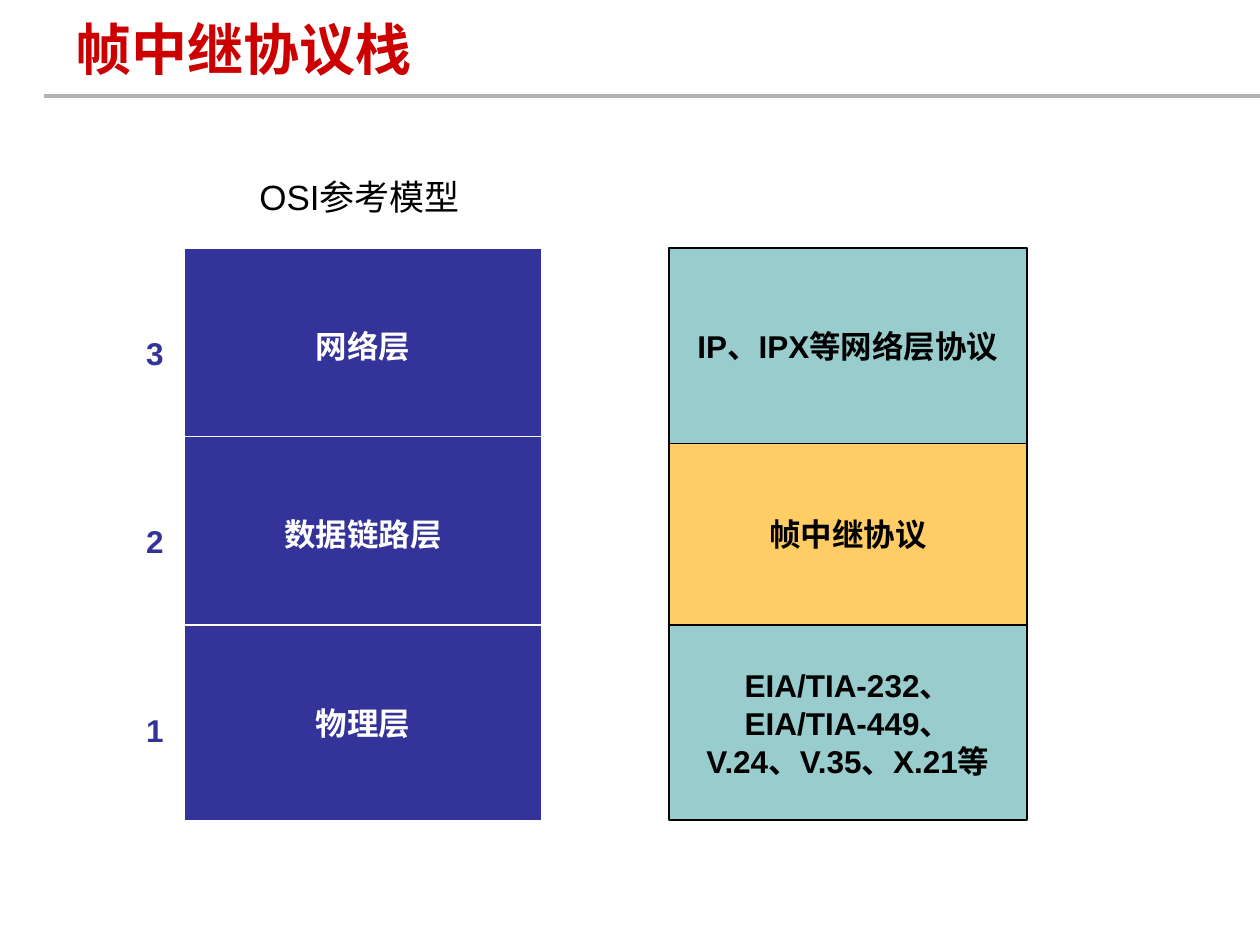
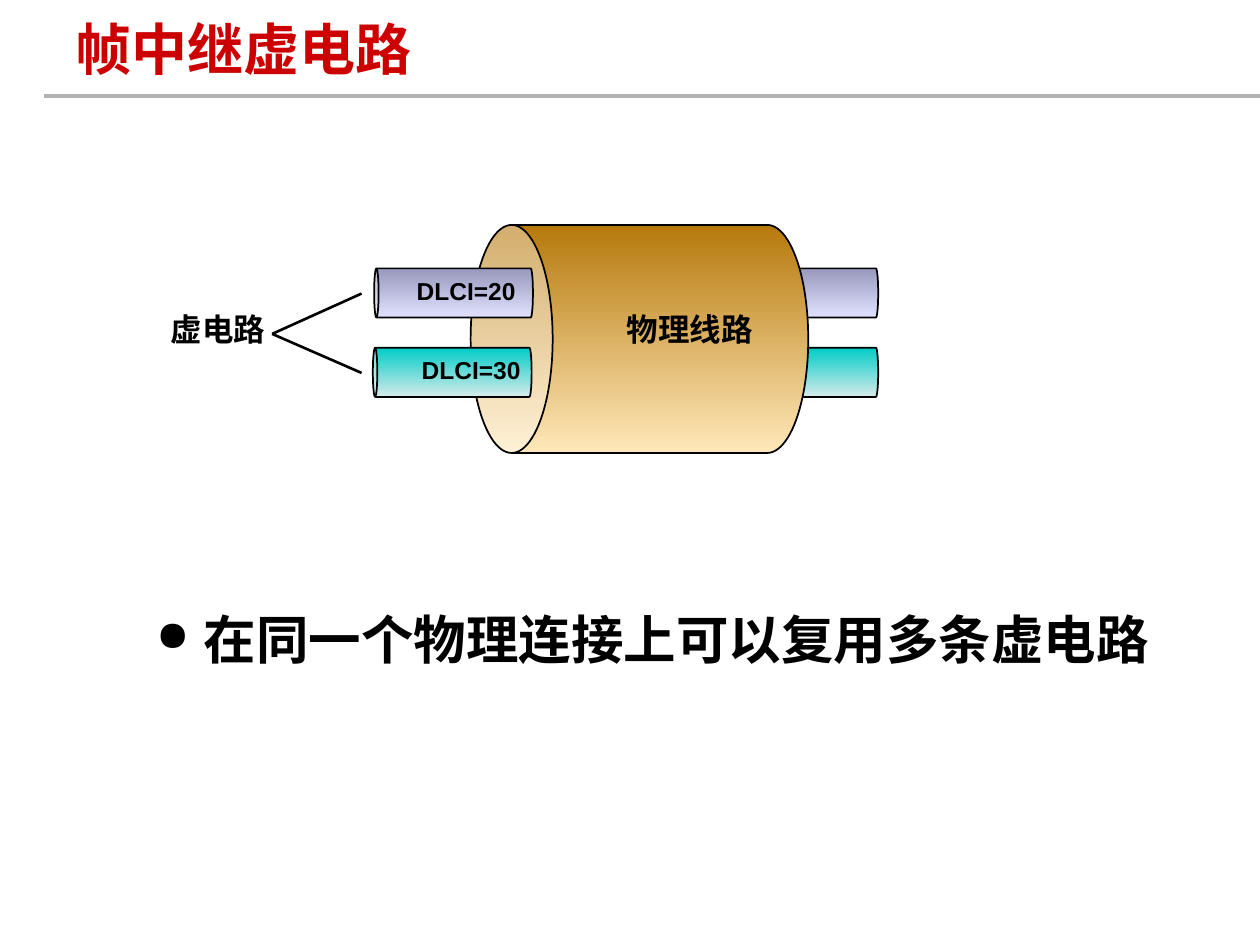
from dataclasses import dataclass
from lxml.etree import SubElement
from pptx import Presentation
from pptx.dml.color import RGBColor
from pptx.enum.shapes import MSO_CONNECTOR as Connector, MSO_SHAPE as Shape
from pptx.enum.text import MSO_ANCHOR as Anchor, PP_ALIGN as Align
from pptx.oxml.ns import qn
from pptx.util import Inches, Pt


@dataclass(frozen=True)
class Theme:
    latin: str = "Arial"
    asian: str = "Noto Sans CJK SC"
    red: str = "CC0000"
    rule: str = "B2B2B2"
    black: str = "000000"
    white: str = "FFFFFF"
    navy: str = "333399"
    teal: str = "99CCCC"
    amber: str = "FFCC66"
    violet_pipe: tuple = ("E1E1FF", "9898BC")
    green_pipe: tuple = ("D5EBEA", "00CCC7")
    line_pipe: tuple = ("FFE8B9", "B6790C")
    title_size: int = 32
    bullet_size: int = 30
    heading_size: int = 20
    label_size: int = 18
    small_size: int = 14


THEME = Theme()
COLUMNS, ROWS = 100, 75
CELL = Inches(0.1)


def grid(*cells):
    return [round(cell * CELL) for cell in cells]


def color(value):
    return RGBColor.from_string(value)


def write(box, lines, size, ink, bold=True, align=Align.CENTER,
          anchor=Anchor.TOP, wrap=True, bullet=False):
    frame = box.text_frame
    frame.word_wrap = wrap
    frame.vertical_anchor = anchor
    for index, line in enumerate(lines):
        para = frame.paragraphs[0] if index == 0 else frame.add_paragraph()
        para.text = line
        para.alignment = align
        if bullet:
            add_bullet(para)
        font = para.font
        font.name, font.size, font.bold = THEME.latin, Pt(size), bold
        font.color.rgb = color(ink)
        defaults = para._p.pPr.find(qn("a:defRPr"))
        SubElement(defaults, qn("a:ea"), typeface=THEME.asian)


def add_bullet(para):
    properties = para._p.get_or_add_pPr()
    indent = Inches(0.38)
    properties.set("marL", str(indent))
    properties.set("indent", str(-indent))
    tint = SubElement(properties, qn("a:buClr"))
    SubElement(tint, qn("a:srgbClr"), val=THEME.black)
    SubElement(properties, qn("a:buSzPct"), val="80000")
    SubElement(properties, qn("a:buChar"), char="●")


def add_label(page, cells, text, size=THEME.label_size, ink=THEME.black, **style):
    box = page.shapes.add_textbox(*grid(*cells))
    write(box, [text], size, ink, **style)


def add_line(page, start, end, ink, width):
    line = page.shapes.add_connector(Connector.STRAIGHT, *grid(*start, *end))
    line.line.color.rgb = color(ink)
    line.line.width = Pt(width)
    SubElement(line._element.spPr, qn("a:effectLst"))


def outline(shape, ink, width):
    shape.shadow.inherit = False
    shape.line.color.rgb = color(ink)
    shape.line.width = Pt(width)


def add_layer(page, cells, lines, fill, ink, edge, edge_width):
    box = page.shapes.add_shape(Shape.RECTANGLE, *grid(*cells))
    box.fill.solid()
    box.fill.fore_color.rgb = color(fill)
    outline(box, edge, edge_width)
    write(box, lines, THEME.label_size, ink, anchor=Anchor.MIDDLE, wrap=False)


def add_pipe(page, cells, shades, rim):
    left, top, length, thickness = cells
    shift = (length - thickness) / 2
    pipe = page.shapes.add_shape(
        Shape.CAN, *grid(left + shift, top - shift, thickness, length))
    pipe.rotation = 270
    pipe.adjustments[0] = rim
    pipe.fill.gradient()
    pipe.fill.gradient_angle = 90
    for stop, shade in zip(pipe.fill.gradient_stops, shades):
        stop.color.rgb = color(shade)
    pipe._element.spPr.find(qn("a:gradFill")).set("rotWithShape", "0")
    outline(pipe, THEME.black, 1)


def add_page(deck, title):
    page = deck.slides.add_slide(deck.slide_layouts[6])
    add_line(page, (3.5, 7.6), (COLUMNS, 7.6), THEME.rule, 2.25)
    add_label(page, (5, 0.5, 79.2, 6.7), title, THEME.title_size, THEME.red,
              align=Align.LEFT, anchor=Anchor.MIDDLE)
    return page


def build_stack(deck):
    page = add_page(deck, "帧中继协议栈")
    top, pitch, width, height = 19.7, 14.95, 28.4, 15.5
    osi_layers = ["网络层", "数据链路层", "物理层"]
    for row, name in enumerate(osi_layers):
        level = top + row * pitch
        add_layer(page, (14.6, level, width, height), [name],
                  THEME.navy, THEME.white, THEME.white, 0.75)
        add_label(page, (10.6, level + 6.3, 3.4, 4), str(len(osi_layers) - row),
                  ink=THEME.navy, wrap=False)
    add_label(page, (18.5, 13.4, 20.1, 4.4), "OSI参考模型",
              THEME.heading_size, bold=False)
    protocols = [
        (1, THEME.amber, ["帧中继协议"]),
        (2, THEME.teal, ["EIA/TIA-232、", "EIA/TIA-449、", "V.24、V.35、X.21等"]),
        (0, THEME.teal, ["IP、IPX等网络层协议"]),
    ]
    for row, fill, lines in protocols:
        add_layer(page, (53.1, top + row * pitch, width, height), lines,
                  fill, THEME.black, THEME.black, 1)


def build_circuits(deck):
    page = add_page(deck, "帧中继虚电路")
    circuits = [
        (21.3, 29.7, THEME.violet_pipe, "DLCI=20", 10.2),
        (27.6, 29.6, THEME.green_pipe, "DLCI=30", 11),
    ]
    for top, _, shades, _, _ in circuits:
        add_pipe(page, (58.6, top, 11.1, 3.9), shades, 0.09)
    add_pipe(page, (37.35, 17.85, 26.8, 18.1), THEME.line_pipe, 0.36)
    for top, left, shades, name, width in circuits:
        add_pipe(page, (left, top, 12.6, 3.9), shades, 0.09)
        add_label(page, (31.9, top + 0.1, width, 3.4), name, THEME.small_size)
        add_line(page, (21.6, 26.5), (28.7, top + 2), THEME.black, 1.5)
    add_label(page, (46.1, 24.1, 17.3, 4), "物理线路")
    add_label(page, (12.2, 24.1, 10.2, 4), "虚电路")
    add_label(page, (11.4, 47.7, 81.9, 18.1), "在同一个物理连接上可以复用多条虚电路",
              THEME.bullet_size, align=Align.LEFT, bullet=True)


def main():
    deck = Presentation()
    deck.slide_width, deck.slide_height = grid(COLUMNS, ROWS)
    build_stack(deck)
    build_circuits(deck)
    deck.save("out.pptx")


if __name__ == "__main__":
    main()
